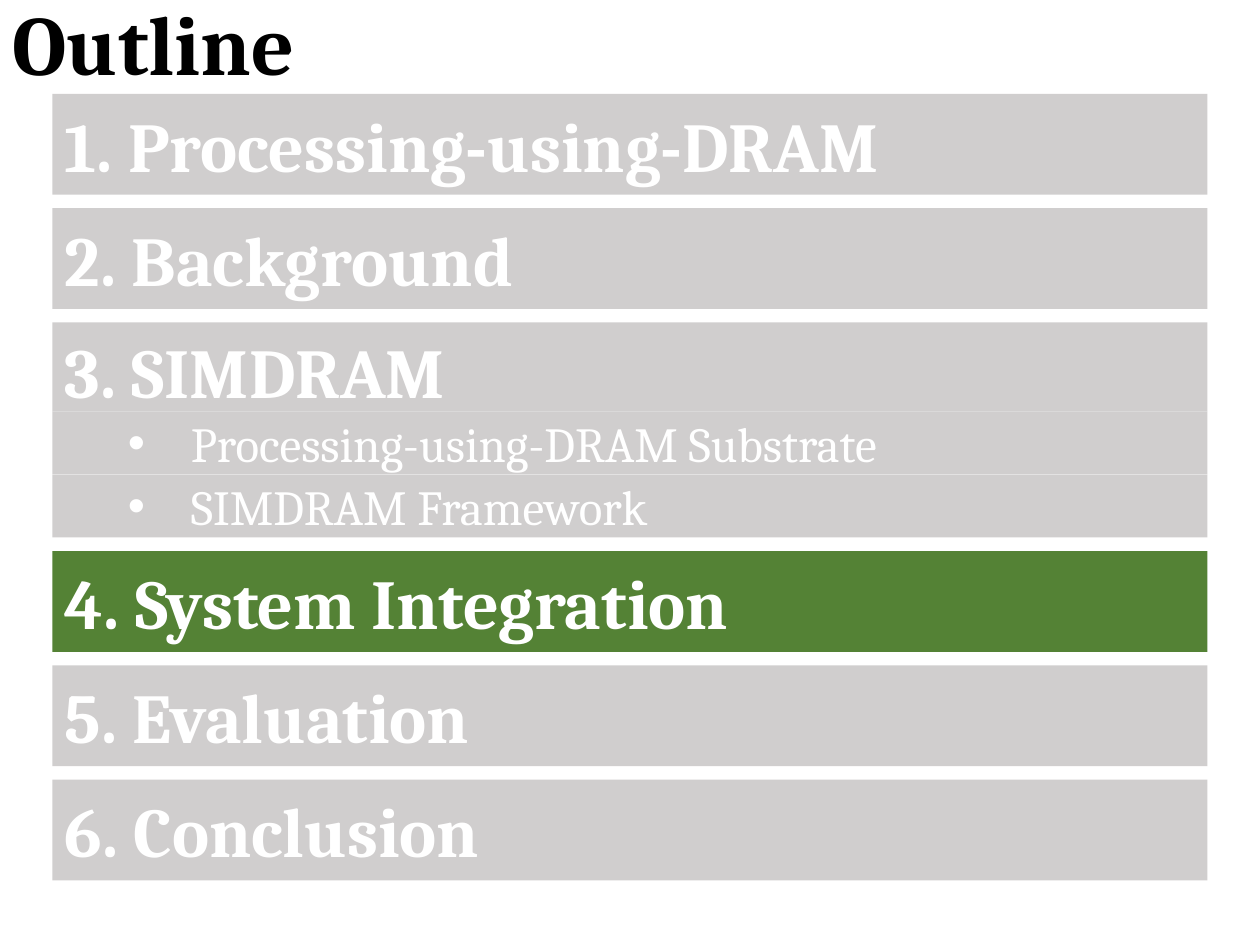
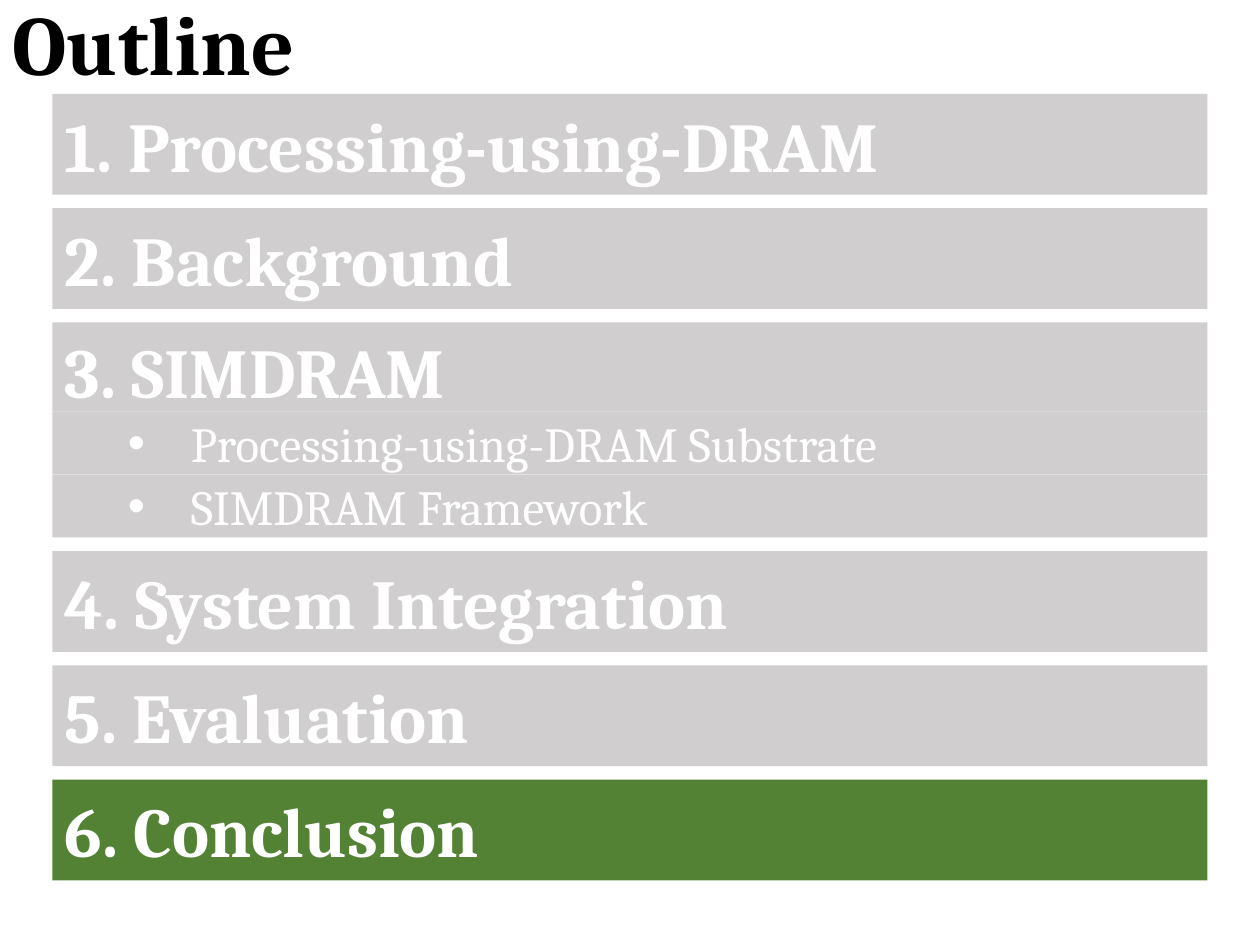
import lxml.etree
import pptx
import pptx.dml.color
import pptx.enum.shapes
import pptx.enum.text
import pptx.oxml.ns
import pptx.util

Pt = pptx.util.Pt
ANCHOR = pptx.enum.text.MSO_ANCHOR
SECTIONS = [
    ("Processing-using-DRAM", []),
    ("Background", []),
    ("SIMDRAM", ["Processing-using-DRAM Substrate", "SIMDRAM Framework"]),
    ("System Integration", []),
    ("Evaluation", []),
    ("Conclusion", []),
]


def color(value):
    return pptx.dml.color.RGBColor.from_string(value)


class OutlineDeck:
    """Builds outline slides that highlight one section each."""

    font_name = "Cambria"
    black, white, muted, active = "000000", "FFFFFF", "D0CECE", "548235"
    left, width, first_top, gap = 30, 660, 53.6, 7.7
    section_height, heading_height, topic_height = 57.6, 51, 36

    def __init__(self):
        self.presentation = pptx.Presentation()
        self.presentation.slide_width = Pt(720)
        self.presentation.slide_height = Pt(540)
        self.slide = None

    def style(self, paragraph, size, text_color, bold):
        paragraph.alignment = pptx.enum.text.PP_ALIGN.LEFT
        font = paragraph.font
        font.name, font.size, font.bold = self.font_name, Pt(size), bold
        font.color.rgb = color(text_color)

    def title(self, text):
        shape = self.slide.shapes.title
        shape.left, shape.top = Pt(0), Pt(-1.4)
        shape.width, shape.height = Pt(708), Pt(58.3)
        frame = shape.text_frame
        frame.text = text
        frame.auto_size = pptx.enum.text.MSO_AUTO_SIZE.NONE
        frame.vertical_anchor = ANCHOR.MIDDLE
        paragraph = frame.paragraphs[0]
        paragraph.line_spacing = 0.9
        self.style(paragraph, 48, self.black, True)

    def bar(self, text, top, height, fill, anchor=ANCHOR.MIDDLE):
        shape = self.slide.shapes.add_shape(
            pptx.enum.shapes.MSO_SHAPE.RECTANGLE,
            Pt(self.left), Pt(top), Pt(self.width), Pt(height))
        shape.shadow.inherit = False
        shape.fill.solid()
        shape.fill.fore_color.rgb = color(fill)
        shape.line.fill.background()
        shape.text_frame.word_wrap = True
        shape.text_frame.vertical_anchor = anchor
        shape.text_frame.text = text
        return shape.text_frame.paragraphs[0]

    def heading(self, text, top, height, fill, anchor):
        self.style(self.bar(text, top, height, fill, anchor), 40, self.white, True)

    def topic(self, text, top, fill):
        paragraph = self.bar(text, top, self.topic_height, fill)
        paragraph.level = 1
        properties = paragraph._p.get_or_add_pPr()
        properties.set("marL", str(Pt(72)))
        properties.set("indent", str(Pt(-36)))
        qualified = pptx.oxml.ns.qn
        lxml.etree.SubElement(properties, qualified("a:buFont"), typeface="Arial")
        lxml.etree.SubElement(properties, qualified("a:buChar"), char="•")
        self.style(paragraph, 28, self.white, False)

    def outline(self, current):
        layout = self.presentation.slide_layouts[5]
        self.slide = self.presentation.slides.add_slide(layout)
        self.title("Outline")
        top = self.first_top
        for number, (name, topics) in enumerate(SECTIONS, start=1):
            fill = self.active if name == current else self.muted
            height = self.heading_height if topics else self.section_height
            anchor = ANCHOR.TOP if topics else ANCHOR.MIDDLE
            self.heading(f"{number}. {name}", top, height, fill, anchor)
            top += height
            for topic in topics:
                self.topic(topic, top, fill)
                top += self.topic_height
            top += self.gap


def main():
    deck = OutlineDeck()
    for current in ("System Integration", "Conclusion"):
        deck.outline(current)
    deck.presentation.save("out.pptx")


if __name__ == "__main__":
    main()
